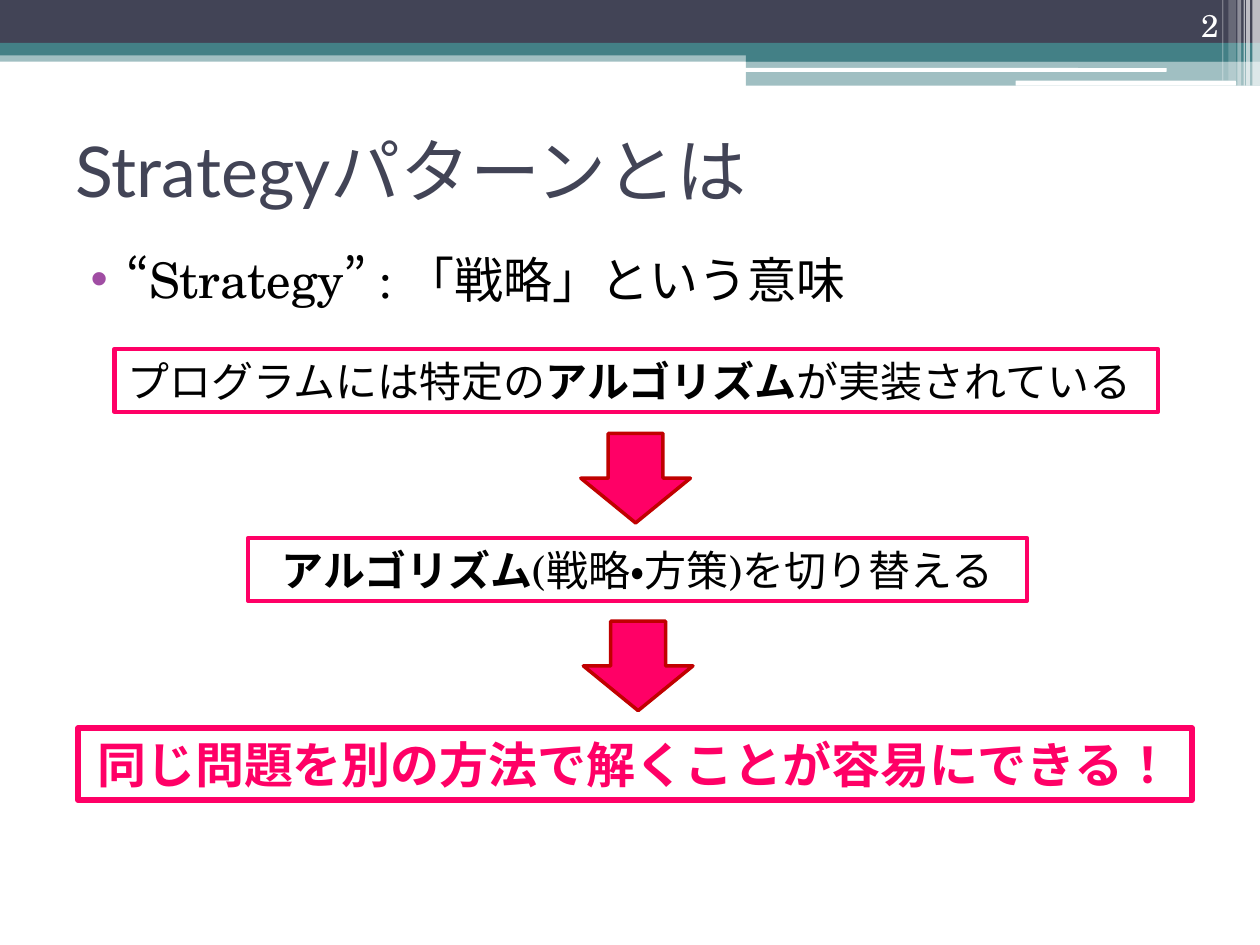
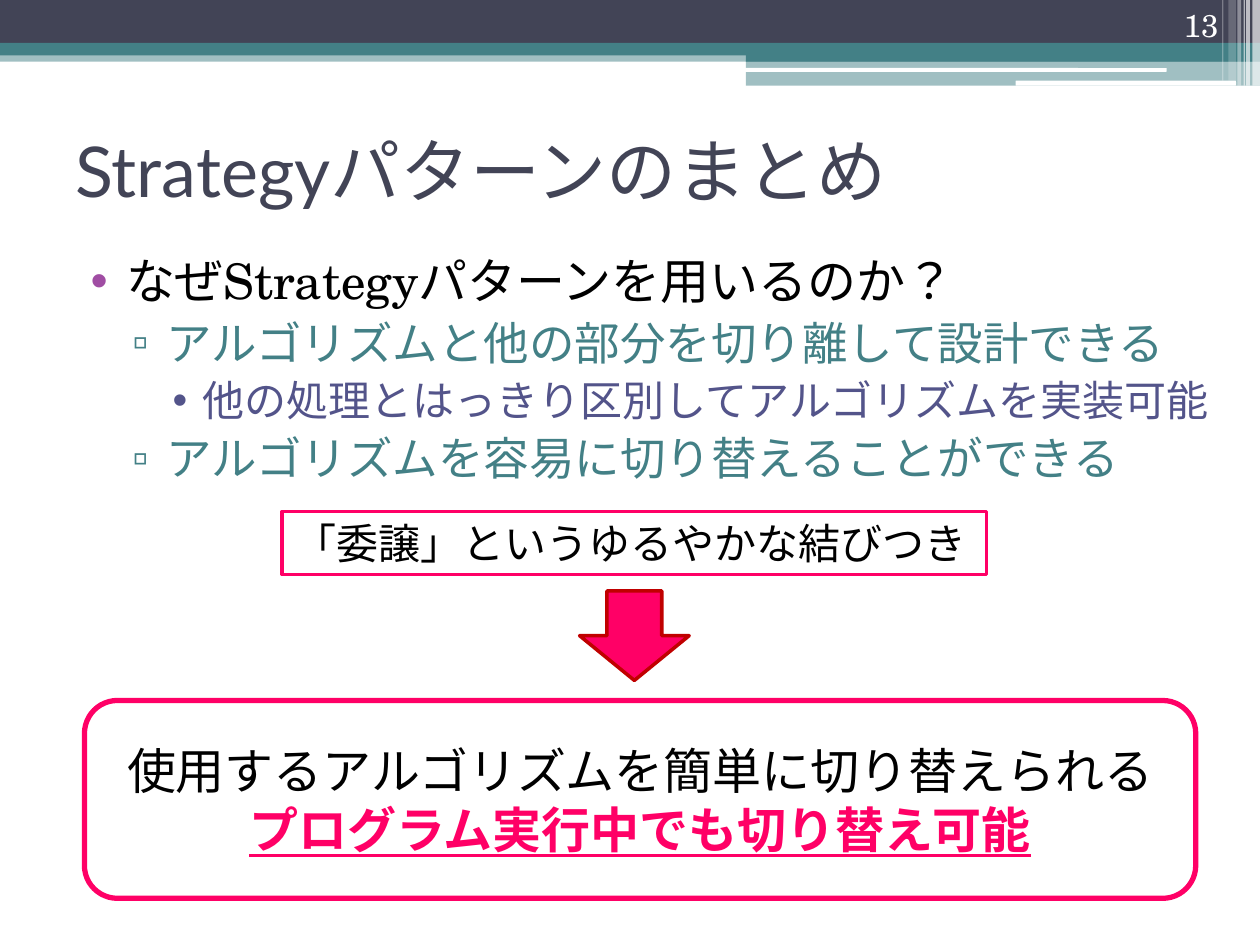
from lxml import etree
from pptx import Presentation
from pptx.dml.color import RGBColor
from pptx.enum.lang import MSO_LANGUAGE_ID
from pptx.enum.shapes import MSO_SHAPE
from pptx.enum.text import MSO_ANCHOR, MSO_AUTO_SIZE, PP_ALIGN
from pptx.oxml.ns import qn
from pptx.util import Pt

PX = 9144  # EMU per px, 100 px to the inch
RECT, ROUNDED, DOWN_ARROW = MSO_SHAPE.RECTANGLE, MSO_SHAPE.ROUNDED_RECTANGLE, MSO_SHAPE.DOWN_ARROW
LEFT, CENTER, RIGHT = PP_ALIGN.LEFT, PP_ALIGN.CENTER, PP_ALIGN.RIGHT
MIDDLE, BOTTOM, TOP = MSO_ANCHOR.MIDDLE, MSO_ANCHOR.BOTTOM, MSO_ANCHOR.TOP
FIXED, GROW = MSO_AUTO_SIZE.NONE, MSO_AUTO_SIZE.SHAPE_TO_FIT_TEXT
JAPANESE = MSO_LANGUAGE_ID.JAPANESE

NAVY = RGBColor(0x42, 0x44, 0x56)
TEAL = RGBColor(0x43, 0x80, 0x86)
INDIGO = RGBColor(0x53, 0x54, 0x8A)
PURPLE = RGBColor(0xA0, 0x4D, 0xA3)
PINK = RGBColor(0xFF, 0x00, 0x66)
DARK_RED = RGBColor(0xC0, 0x00, 0x00)
WHITE = RGBColor(0xFF, 0xFF, 0xFF)
BLACK = RGBColor(0x00, 0x00, 0x00)
TITLE_FONT, BODY_FONT = "Lato", "TeX Gyre Schola"

# left, top, width, height, shape, colour, opacity in percent
BANDS = [
    (0, 40, 1000, 9, RECT, TEAL, 50),
    (0, 0, 1000, 34, RECT, NAVY, 100),
    (0, 34, 1000, 10, RECT, TEAL, 100),
    (592, 39, 408, 10, RECT, TEAL, 100),
    (592, 48, 408, 20, RECT, TEAL, 50),
    (591, 54, 335, 3, ROUNDED, WHITE, 100),
    (806, 64, 175, 4, ROUNDED, WHITE, 100),
    (994, 0, 6, 68, RECT, WHITE, 65),
    (989, 0, 3, 68, RECT, WHITE, 65),
    (987, 0, 1, 68, RECT, WHITE, 60),
    (982, 0, 3, 68, RECT, WHITE, 40),
    (975, 0, 6, 64, RECT, WHITE, 20),
    (970, 0, 1, 64, RECT, WHITE, 30),
]

# per list level: left margin, hanging indent, bullet, bullet colour, size, text colour
LEVELS = [
    (40, 28, "•", PURPLE, 28, BLACK),
    (72, 27, "▫", TEAL, 26, TEAL),
    (101, 24, "•", INDIGO, 24, INDIGO),
]

# boxes: position, shape, line width, size, alignment, paragraphs of (colour, spans);
# a span is (text, bold, underlined)
SLIDES = [
    {
        "number": "2",
        "title": "Strategyパターンとは",
        "body": (50, 193, 900, 473),
        "points": [(0, "“Strategy” : 「戦略」という意味")],
        "arrows": [(461, 344), (463, 493)],
        "boxes": [
            ((91, 277, 828, 50), RECT, 2.5, 24, LEFT,
             [(BLACK, [("プログラムには特定の", False, False), ("アルゴリズム", True, False),
                       ("が実装されている", False, False)])]),
            ((197, 427, 618, 50), RECT, 2.5, 24, CENTER,
             [(BLACK, [("アルゴリズム", True, False),
                       ("(戦略・方策)を切り替える", False, False)])]),
            ((62, 578, 884, 57), RECT, 3.5, 28, CENTER,
             [(PINK, [("同じ問題を別の方法で解くことが容易にできる！", True, False)])]),
        ],
    },
    {
        "number": "13",
        "title": "Strategyパターンのまとめ",
        "body": (50, 194, 922, 473),
        "points": [
            (0, "なぜStrategyパターンを用いるのか？"),
            (1, "アルゴリズムと他の部分を切り離して設計できる"),
            (2, "他の処理とはっきり区別してアルゴリズムを実装可能"),
            (1, "アルゴリズムを容易に切り替えることができる"),
        ],
        "arrows": [(460, 469)],
        "boxes": [
            ((224, 406, 559, 50), RECT, 2, 24, LEFT,
             [(BLACK, [("「委譲」というゆるやかな結びつき", False, False)])]),
            ((67, 556, 882, 157), ROUNDED, 3, 28, CENTER,
             [(BLACK, [("使用するアルゴリズムを簡単に切り替えられる", False, False)]),
              (PINK, [("プログラム実行中でも切り替え可能", True, True)])]),
        ],
    },
]


def draw(slide, kind, position, fill=None, line=None, line_width=0):
    """Add a shadowless preset shape; without a fill or line colour it has none."""
    shape = slide.shapes.add_shape(kind, *(PX * length for length in position))
    shape.shadow.inherit = False
    if fill is None:
        shape.fill.background()
    else:
        shape.fill.solid()
        shape.fill.fore_color.rgb = fill
    if line is None:
        shape.line.fill.background()
    else:
        shape.line.color.rgb = line
        shape.line.width = Pt(line_width)
    return shape


def write(para, spans, size, color, align=LEFT, font=BODY_FONT):
    """Fill a paragraph with (text, bold, underlined) spans."""
    para.alignment = align
    para.font.name = font
    para.font.size = Pt(size)
    para.font.color.rgb = color
    for text, bold, underlined in spans:
        run = para.add_run()
        run.text = text
        run.font.language_id = JAPANESE
        run.font.bold = bold
        run.font.underline = underlined


deck = Presentation()
deck.slide_width, deck.slide_height = 1000 * PX, 750 * PX
layout = deck.slide_layouts[1]
for placeholder in list(layout.placeholders)[2:]:
    placeholder.element.getparent().remove(placeholder.element)
pages = [deck.slides.add_slide(layout) for _ in SLIDES]

# The bands are drawn once, then moved into the layout that the slides share.
bands = []
for *position, kind, color, opacity in BANDS:
    band = draw(pages[0], kind, position, color)
    if opacity < 100:
        tint = band.element.spPr.find(f"{qn('a:solidFill')}/{qn('a:srgbClr')}")
        etree.SubElement(tint, qn("a:alpha"), val=str(opacity * 1000))
    bands.append(band)
for band in bands:
    layout.shapes.element.append(band.element)

for page, content in zip(pages, SLIDES):
    title = page.shapes.title
    title.left, title.top, title.width, title.height = 50 * PX, 76 * PX, 900 * PX, 117 * PX
    title.text_frame.vertical_anchor = MIDDLE
    title.text_frame.auto_size = FIXED
    write(title.text_frame.paragraphs[0], [(content["title"], False, False)],
          40, NAVY, font=TITLE_FONT)

    body = page.placeholders[1]
    body.left, body.top, body.width, body.height = (PX * length for length in content["body"])
    frame = body.text_frame
    frame.vertical_anchor = TOP
    frame.auto_size = FIXED
    for index, (level, text) in enumerate(content["points"]):
        para = frame.add_paragraph() if index else frame.paragraphs[0]
        margin, hanging, bullet, bullet_color, size, color = LEVELS[level]
        para.level = level
        properties = para._p.get_or_add_pPr()
        properties.set("marL", str(margin * PX))
        properties.set("indent", str(-hanging * PX))
        bullet_fill = etree.SubElement(properties, qn("a:buClr"))
        etree.SubElement(bullet_fill, qn("a:srgbClr"), val=str(bullet_color))
        etree.SubElement(properties, qn("a:buChar"), char=bullet)
        para.space_before = Pt(3)
        write(para, [(text, False, False)], size, color)

    number = page.shapes.add_textbox(894 * PX, 0, 83 * PX, 40 * PX).text_frame
    number.word_wrap = True
    number.vertical_anchor = BOTTOM
    write(number.paragraphs[0], [(content["number"], False, False)], 18, WHITE, RIGHT)

    for left, top in content["arrows"]:
        draw(page, DOWN_ARROW, (left, top, 87, 71), PINK, DARK_RED, 2)

    for position, kind, line_width, size, align, paragraphs in content["boxes"]:
        frame = draw(page, kind, position, line=PINK, line_width=line_width).text_frame
        frame.vertical_anchor = MIDDLE
        frame.word_wrap = kind == ROUNDED
        frame.auto_size = FIXED if kind == ROUNDED else GROW
        for index, (color, spans) in enumerate(paragraphs):
            para = frame.add_paragraph() if index else frame.paragraphs[0]
            write(para, spans, size, color, align)

deck.save("out.pptx")
